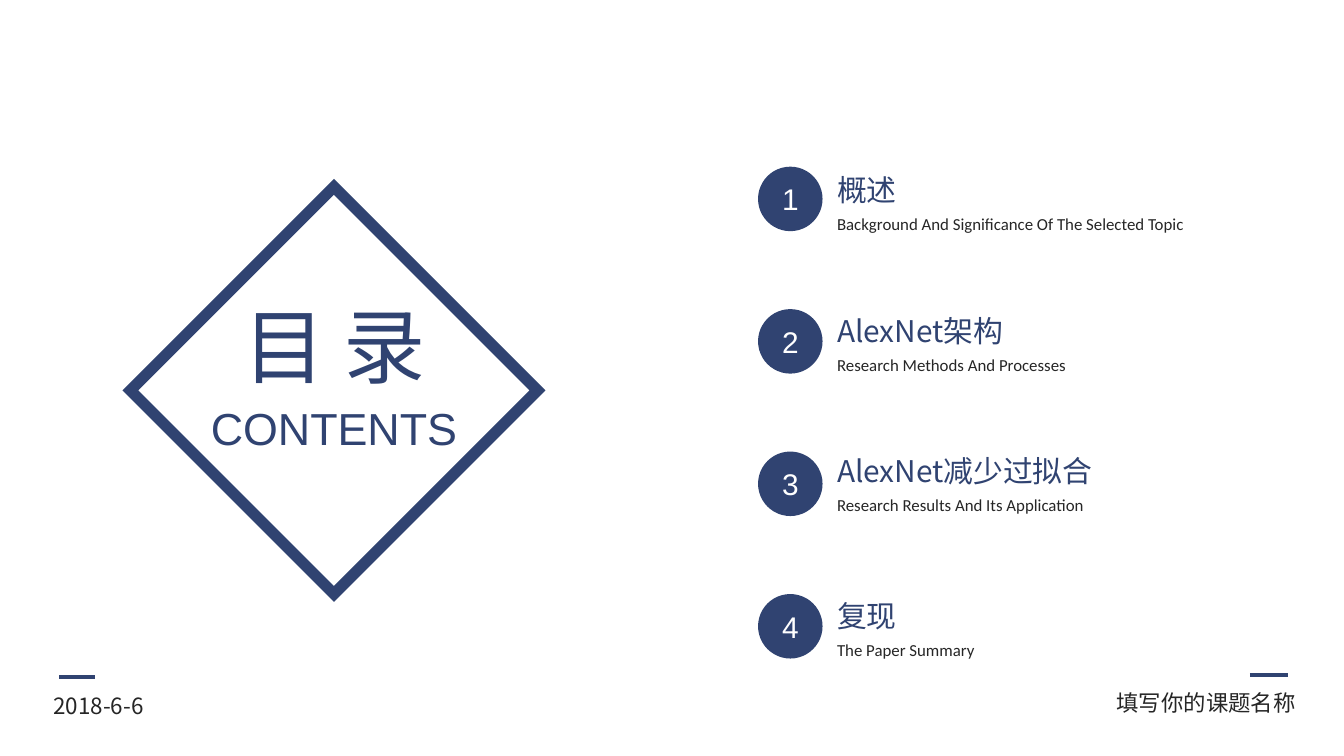
from dataclasses import dataclass

from lxml.etree import SubElement
from pptx import Presentation
from pptx.dml.color import RGBColor
from pptx.enum.shapes import MSO_CONNECTOR, MSO_SHAPE
from pptx.enum.text import MSO_ANCHOR, MSO_AUTO_SIZE, PP_ALIGN
from pptx.oxml.ns import qn
from pptx.util import Inches, Pt

COLORS = {"navy": "304371", "ink": "262626", "white": "FFFFFF"}
CJK, LATIN, SMALL = "Noto Sans CJK SC", "Arial", "Calibri"
CIRCLE_LEFT, CIRCLE_TOP, CIRCLE_SIZE, ROW_STEP = 5.64, 1.24, 0.48, 1.06
TEXT_LEFT, SUBTITLE_DROP = 6.13, 0.31


@dataclass
class Style:
    font: str
    size: float
    color: str
    align: PP_ALIGN = PP_ALIGN.LEFT


@dataclass
class Topic:
    name: str
    subtitle: str
    top: float
    name_width: float
    subtitle_width: float


TOPICS = [
    Topic("概述", "Background And Significance Of The Selected Topic", 1.23, 0.65, 2.8),
    Topic("AlexNet架构", "Research Methods And Processes", 2.28, 1.5, 1.91),
    Topic("AlexNet减少过拟合", "Research Results And Its Application", 3.32, 2.18, 2.04),
    Topic("复现", "The Paper Summary", 4.4, 0.65, 1.23),
]
HEADING = Style(CJK, 44, "navy", PP_ALIGN.CENTER)
CONTENTS = Style(LATIN, 24, "navy", PP_ALIGN.CENTER)
TOPIC_NAME = Style(CJK, 16, "navy")
TOPIC_SUBTITLE = Style(SMALL, 9, "ink")
NUMBER = Style(LATIN, 16, "white", PP_ALIGN.CENTER)
DATE = Style(CJK, 12, "ink")
PROJECT = Style(CJK, 12, "ink", PP_ALIGN.RIGHT)


def rgb(name: str) -> RGBColor:
    return RGBColor.from_string(COLORS[name])


def write(sp, text: str, style: Style) -> None:
    tf = sp.text_frame
    tf.text = text
    p = tf.paragraphs[0]
    p.alignment = style.align
    for r in p.runs:
        r.font.name, r.font.size = style.font, Pt(style.size)
        r.font.color.rgb = rgb(style.color)
        SubElement(r.font._element, qn("a:ea"), typeface=style.font)


def place(sp, left: float, top: float, width: float, height: float) -> None:
    sp.left, sp.top = Inches(left), Inches(top)
    sp.width, sp.height = Inches(width), Inches(height)


def add_label(s, text: str, box: tuple, style: Style, sp=None) -> None:
    sp = sp or s.shapes.add_textbox(0, 0, 0, 0)
    place(sp, *box)
    write(sp, text, style)
    tf = sp.text_frame
    tf.word_wrap = False
    tf.auto_size = MSO_AUTO_SIZE.SHAPE_TO_FIT_TEXT
    tf.vertical_anchor = MSO_ANCHOR.TOP


def add_dash(s, left: float, top: float, length: float) -> None:
    line = s.shapes.add_connector(MSO_CONNECTOR.STRAIGHT, Inches(left), Inches(top),
                                  Inches(left + length), Inches(top))
    line.line.color.rgb, line.line.width = rgb("navy"), Pt(2.25)
    SubElement(line._element.spPr, qn("a:effectLst"))


def add_topic(s, index: int, topic: Topic) -> None:
    add_label(s, topic.name, (TEXT_LEFT, topic.top, topic.name_width, 0.37), TOPIC_NAME)
    add_label(s, topic.subtitle,
              (TEXT_LEFT, topic.top + SUBTITLE_DROP, topic.subtitle_width, 0.25), TOPIC_SUBTITLE)
    circle = s.shapes.add_shape(MSO_SHAPE.OVAL, 0, 0, 0, 0)
    place(circle, CIRCLE_LEFT, CIRCLE_TOP + index * ROW_STEP, CIRCLE_SIZE, CIRCLE_SIZE)
    circle.shadow.inherit = False
    circle.fill.solid()
    circle.fill.fore_color.rgb = rgb("navy")
    circle.line.fill.background()
    write(circle, str(index + 1), NUMBER)
    circle.text_frame.vertical_anchor = MSO_ANCHOR.MIDDLE


# Widescreen slide, 16 to 9
prs = Presentation()
prs.slide_width = Inches(10)
prs.slide_height = prs.slide_width * 9 // 16
s = prs.slides.add_slide(prs.slide_layouts[5])

# Diamond with sharp corners and the heading
diamond = s.shapes.add_shape(MSO_SHAPE.DIAMOND, 0, 0, 0, 0)
place(diamond, 0.97, 1.39, 3.03, 3.03)
diamond.shadow.inherit = False
diamond.fill.background()
diamond.line.color.rgb, diamond.line.width = rgb("navy"), Pt(6)
SubElement(diamond._element.spPr.find(qn("a:ln")), qn("a:miter"), lim="800000")
add_label(s, "目 录", (1.68, 2.15, 1.62, 0.84), HEADING, s.shapes.title)
add_label(s, "CONTENTS", (1.46, 2.93, 2.05, 0.5), CONTENTS)

# Numbered topics
for index, topic in enumerate(TOPICS):
    add_topic(s, index, topic)

# Footer
add_dash(s, 0.44, 5.04, 0.27)
add_label(s, "2018-6-6", (0.3, 5.1, 0.94, 0.3), DATE)
add_dash(s, 9.3, 5.02, 0.28)
add_label(s, "填写你的课题名称", (8.19, 5.08, 1.55, 0.3), PROJECT)

prs.save("out.pptx")
